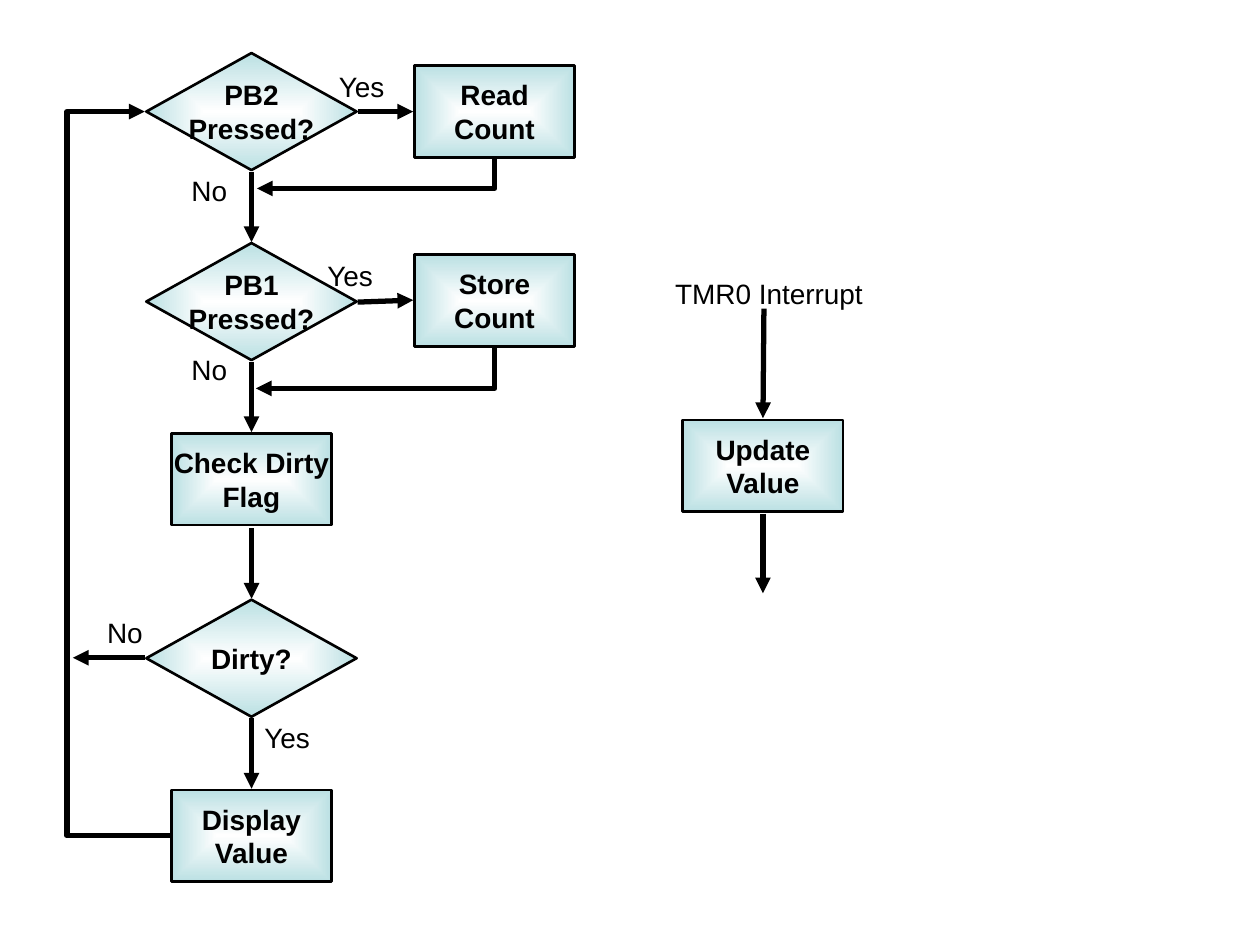
import pptx
import pptx.dml.color
import pptx.enum.shapes
import pptx.enum.text
import pptx.oxml
import pptx.oxml.ns
import pptx.util

Cm = pptx.util.Cm
BLACK = pptx.dml.color.RGBColor(0, 0, 0)
WHITE = pptx.dml.color.RGBColor(255, 255, 255)
PALE_TEAL = pptx.dml.color.RGBColor(0xBB, 0xE0, 0xE3)
PROCESS = (pptx.enum.shapes.MSO_SHAPE.RECTANGLE, 3.23, 1.85)
DECISION = (pptx.enum.shapes.MSO_SHAPE.DIAMOND, 4.24, 2.36)
STRAIGHT = pptx.enum.shapes.MSO_CONNECTOR.STRAIGHT
ELBOW = pptx.enum.shapes.MSO_CONNECTOR.ELBOW
NAMESPACE = pptx.oxml.ns.nsdecls("a")

MAIN_X, ACTION_X, INTERRUPT_X = 5.07, 9.97, 15.38
NODES = [
    (PROCESS, MAIN_X, 9.66, ["Check Dirty", "Flag"]),
    (PROCESS, INTERRUPT_X, 9.39, ["Update", "Value"]),
    (PROCESS, MAIN_X, 16.85, ["Display", "Value"]),
    (DECISION, MAIN_X, 13.27, ["Dirty?"]),
    (DECISION, MAIN_X, 6.08, ["PB1", "Pressed?"]),
    (DECISION, MAIN_X, 2.25, ["PB2", "Pressed?"]),
    (PROCESS, ACTION_X, 6.06, ["Store", "Count"]),
    (PROCESS, ACTION_X, 2.25, ["Read", "Count"]),
]
DOWN_LENGTH = 1.42
DOWN_STARTS = [3.46, 7.29, 10.65, 14.48]
ARROWS = [
    (2.92, 13.26, 1.47, 13.26),
    (15.4, 6.22, INTERRUPT_X, 8.43),
    (INTERRUPT_X, 10.36, INTERRUPT_X, 11.96),
    (7.21, 2.25, 8.33, 2.25),
    (7.21, 6.09, 8.33, 6.05),
]
RETURNS = [(ACTION_X, 3.19, 5.18, 3.8), (ACTION_X, 7.01, 5.16, 7.83)]
LABELS = [
    ("Yes", 5.08, 14.4, 1.47),
    ("No", 1.91, 12.28, 1.22),
    ("TMR0 Interrupt", 13.36, 5.46, 4.29),
    ("No", 3.61, 3.38, 1.22),
    ("No", 3.61, 6.98, 1.22),
    ("Yes", 6.35, 5.08, 1.47),
    ("Yes", 6.58, 1.27, 1.47),
]


class Flowchart:
    """Draws flowchart nodes, arrows and labels on one slide."""

    font_format = {"name": "Arial", "size": pptx.util.Pt(16)}

    def __init__(self, slide):
        self.shapes = slide.shapes

    def set_text(self, shape, lines, bold, alignment):
        frame = shape.text_frame
        frame.word_wrap = False
        frame.text = "\n".join(lines)
        for paragraph in frame.paragraphs:
            paragraph.alignment = alignment
            for name, value in {**self.font_format, "bold": bold}.items():
                setattr(paragraph.font, name, value)
            paragraph.font.color.rgb = BLACK

    def outline(self, shape, width):
        shape.line.color.rgb = BLACK
        shape.line.width = pptx.util.Pt(width)

    def node(self, kind, center_x, center_y, lines):
        preset, width, height = kind
        shape = self.shapes.add_shape(
            preset, Cm(center_x - width / 2), Cm(center_y - height / 2), Cm(width), Cm(height))
        shape.shadow.inherit = False
        shape.fill.gradient()
        for stop, color in zip(shape.fill.gradient_stops, (WHITE, PALE_TEAL)):
            stop.color.rgb = color
        gradient = shape._element.spPr.find(pptx.oxml.ns.qn("a:gradFill"))
        gradient.remove(gradient.find(pptx.oxml.ns.qn("a:lin")))
        gradient.append(pptx.oxml.parse_xml(
            f'<a:path {NAMESPACE} path="rect">'
            '<a:fillToRect l="50000" t="50000" r="50000" b="50000"/></a:path>'))
        self.outline(shape, 1.5)
        shape.text_frame.vertical_anchor = pptx.enum.text.MSO_ANCHOR.MIDDLE
        self.set_text(shape, lines, True, pptx.enum.text.PP_ALIGN.CENTER)

    def arrow(self, start_x, start_y, end_x, end_y, kind=STRAIGHT):
        connector = self.shapes.add_connector(
            kind, Cm(start_x), Cm(start_y), Cm(end_x), Cm(end_y))
        self.outline(connector, 3)
        properties = connector._element.spPr
        properties.find(pptx.oxml.ns.qn("a:ln")).append(
            pptx.oxml.parse_xml(f'<a:tailEnd {NAMESPACE} type="triangle"/>'))
        properties.append(pptx.oxml.parse_xml(f"<a:effectLst {NAMESPACE}/>"))
        return connector

    def return_arrow(self, start_x, start_y, end_x, end_y):
        center_x, center_y = (start_x + end_x) / 2, (start_y + end_y) / 2
        half_width, half_height = (end_y - start_y) / 2, (start_x - end_x) / 2
        connector = self.arrow(center_x - half_width, center_y - half_height,
                               center_x + half_width, center_y + half_height, ELBOW)
        properties = connector._element.spPr
        properties.find(pptx.oxml.ns.qn("a:xfrm")).set("rot", "5400000")
        properties.find(pptx.oxml.ns.qn("a:prstGeom")).set("prst", "bentConnector2")

    def loop_arrow(self, start_x, start_y, end_x, end_y, rail_x):
        connector = self.arrow(start_x, start_y, end_x, end_y, ELBOW)
        adjustment = round((start_x - rail_x) / (start_x - end_x) * 100000)
        geometry = connector._element.spPr.find(pptx.oxml.ns.qn("a:prstGeom"))
        geometry.find(pptx.oxml.ns.qn("a:avLst")).append(pptx.oxml.parse_xml(
            f'<a:gd {NAMESPACE} name="adj1" fmla="val {adjustment}"/>'))

    def label(self, text, left, top, width):
        box = self.shapes.add_textbox(Cm(left), Cm(top), Cm(width), Cm(0.94))
        self.set_text(box, [text], False, pptx.enum.text.PP_ALIGN.LEFT)
        box.text_frame.auto_size = pptx.enum.text.MSO_AUTO_SIZE.SHAPE_TO_FIT_TEXT


def main():
    presentation = pptx.Presentation()
    presentation.slide_width = Cm(25.4)
    presentation.slide_height = Cm(19.05)
    chart = Flowchart(presentation.slides.add_slide(presentation.slide_layouts[6]))
    for node in NODES:
        chart.node(*node)
    for top in DOWN_STARTS:
        chart.arrow(MAIN_X, top, MAIN_X, top + DOWN_LENGTH)
    for arrow in ARROWS:
        chart.arrow(*arrow)
    for arrow in RETURNS:
        chart.return_arrow(*arrow)
    chart.loop_arrow(3.43, 16.85, 2.92, 2.25, rail_x=1.35)
    for label in LABELS:
        chart.label(*label)
    presentation.save("out.pptx")


if __name__ == "__main__":
    main()
